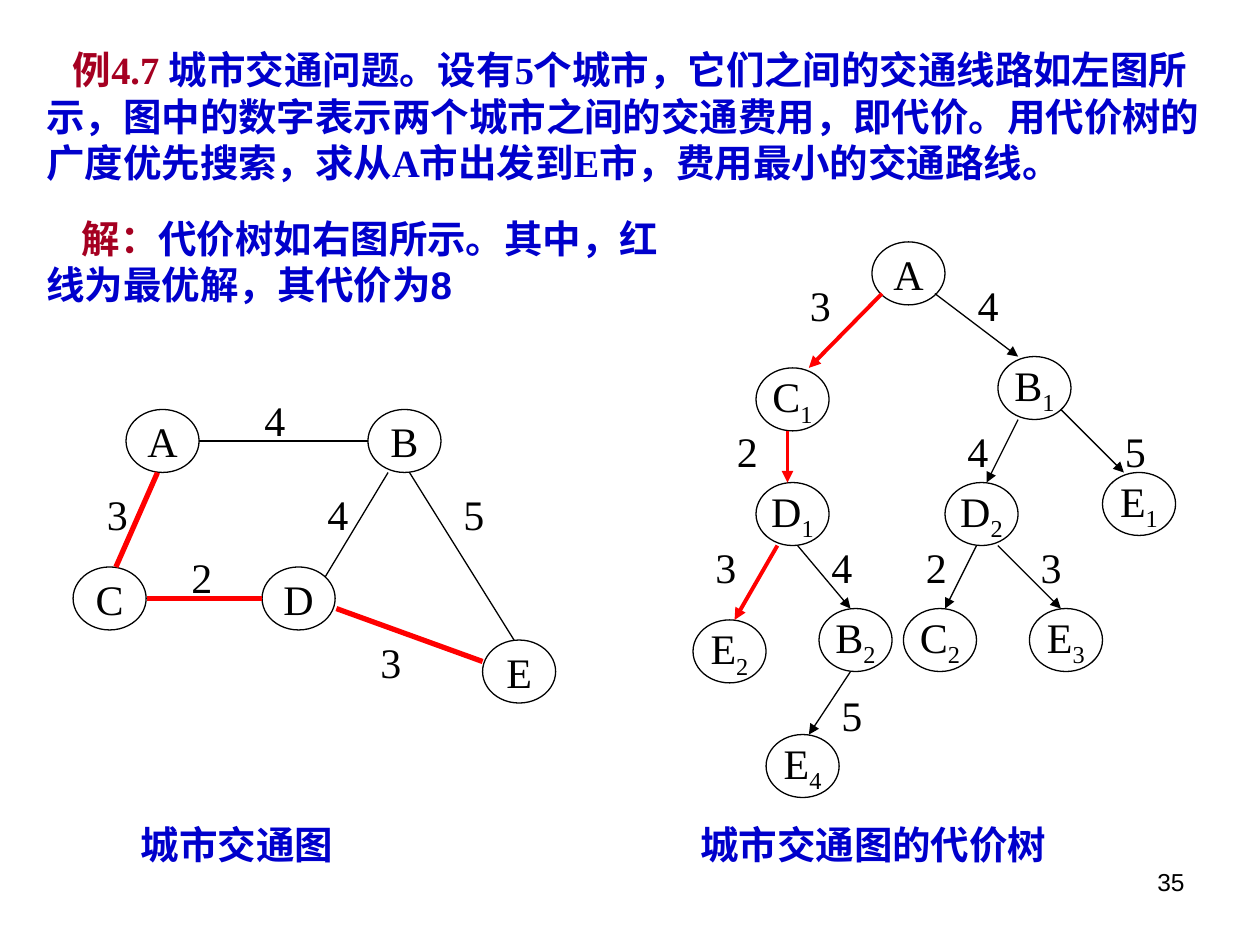
from lxml import etree
from pptx import Presentation
from pptx.dml.color import RGBColor
from pptx.enum.shapes import MSO_CONNECTOR, MSO_SHAPE
from pptx.enum.text import MSO_ANCHOR, PP_ALIGN
from pptx.oxml.ns import qn
from pptx.util import Inches, Pt

OVAL = MSO_SHAPE.OVAL
STRAIGHT = MSO_CONNECTOR.STRAIGHT
MIDDLE = MSO_ANCHOR.MIDDLE
LEFT, CENTER, RIGHT = PP_ALIGN.LEFT, PP_ALIGN.CENTER, PP_ALIGN.RIGHT
BLACK = RGBColor(0x00, 0x00, 0x00)
RED = RGBColor(0xFF, 0x00, 0x00)
CRIMSON = RGBColor(0xA5, 0x00, 0x21)
BLUE = RGBColor(0x00, 0x00, 0xCC)
SERIF, SANS, CHINESE = "Times New Roman", "Arial", "Noto Sans CJK SC"
NODE_WIDTH, NODE_HEIGHT = 0.58, 0.5

PROBLEM = [
    ("例", CHINESE, CRIMSON),
    ("4.7 ", SERIF, CRIMSON),
    ("城市交通问题。设有", CHINESE, BLUE),
    ("5", SERIF, BLUE),
    ("个城市，它们之间的交通线路如左图所示，图中的数字表示两个城市之间的交通费用，"
     "即代价。用代价树的广度优先搜索，求从", CHINESE, BLUE),
    ("A", SERIF, BLUE),
    ("市出发到", CHINESE, BLUE),
    ("E", SERIF, BLUE),
    ("市，费用最小的交通路线。", CHINESE, BLUE),
]
SOLUTION = [
    ("解：", SANS, CRIMSON),
    ("代价树如右图所示。其中，红线为最优解，其代价为8", SANS, BLUE),
]
CAPTIONS = [("城市交通图", 1.02, 2.5), ("城市交通图的代价树", 5.46, 3.28)]

MAP = {
    "nodes": [("A", 1, 3.25), ("B", 2.92, 3.25), ("C", 0.58, 4.5),
              ("D", 2.08, 4.5), ("E", 3.83, 5.08)],
    "best": [(1.25, 3.75, 0.92, 4.5), (1.17, 4.75, 2.08, 4.75),
             (2.67, 4.83, 3.83, 5.25)],
    "other": [(1.58, 3.5, 2.92, 3.5), (2.58, 4.58, 3.08, 3.75),
              (3.25, 3.75, 4.08, 5.08)],
    "costs": [("4", 2, 3.08), ("3", 0.75, 3.83), ("4", 2.5, 3.83),
              ("5", 3.58, 3.83), ("2", 1.42, 4.33), ("3", 2.92, 5)],
    "best_width": 3,
    "arrows": False,
}
TREE = {
    "nodes": [("A", 6.92, 1.92), ("C1", 6, 2.92), ("B1", 7.92, 2.83),
              ("D1", 6, 3.83), ("D2", 7.5, 3.83), ("E1", 8.75, 3.75),
              ("E2", 5.5, 4.92), ("B2", 6.5, 4.83), ("C2", 7.17, 4.83),
              ("E3", 8.17, 4.83), ("E4", 6.08, 5.83)],
    "best": [(7, 2.33, 6.42, 2.92), (6.25, 3.42, 6.25, 3.83),
             (6.17, 4.33, 5.83, 4.92)],
    "other": [(7.42, 2.33, 8.08, 2.83), (8.08, 3.33, 7.83, 3.83),
              (8.42, 3.25, 8.92, 3.75), (6.33, 4.33, 6.75, 4.83),
              (7.75, 4.33, 7.5, 4.83), (7.92, 4.33, 8.42, 4.83),
              (6.75, 5.33, 6.42, 5.83)],
    "costs": [("3", 6.33, 2.17), ("4", 7.66, 2.17), ("2", 5.75, 3.33),
              ("4", 7.58, 3.33), ("5", 8.83, 3.33), ("3", 5.58, 4.25),
              ("4", 6.5, 4.25), ("2", 7.25, 4.25), ("3", 8.16, 4.25),
              ("5", 6.58, 5.42)],
    "best_width": 2.25,
    "arrows": True,
}


def add_span(para, text, size, face, color, bold=False):
    span = para.add_run()
    span.text = text
    font = span.font
    font.size, font.name, font.bold = Pt(size), face, bold
    font.color.rgb = color
    east_asian = etree.SubElement(span._r.get_or_add_rPr(), qn("a:ea"))
    east_asian.set("typeface", CHINESE)
    return span


def add_text(page, spans, left, top, width, height, size, bold=False, indent=0, align=LEFT):
    box = page.shapes.add_textbox(Inches(left), Inches(top), Inches(width), Inches(height))
    box.text_frame.word_wrap = True
    para = box.text_frame.paragraphs[0]
    para.alignment = align
    if indent:
        para._p.get_or_add_pPr().set("indent", str(Inches(indent)))
    for text, face, color in spans:
        add_span(para, text, size, face, color, bold)


def add_node(page, name, left, top):
    node = page.shapes.add_shape(OVAL, Inches(left), Inches(top),
                                 Inches(NODE_WIDTH), Inches(NODE_HEIGHT))
    node.shadow.inherit = False
    node.fill.background()
    node.line.color.rgb = BLACK
    node.line.width = Pt(0.75)
    frame = node.text_frame
    frame.word_wrap = False
    frame.vertical_anchor = MIDDLE
    para = frame.paragraphs[0]
    para.alignment = CENTER
    add_span(para, name[0], 24, SERIF, BLACK)
    if name[1:]:
        index = add_span(para, name[1:], 24, SERIF, BLACK)
        index._r.get_or_add_rPr().set("baseline", "-25000")


def add_edge(page, ends, color, width, arrow):
    edge = page.shapes.add_connector(STRAIGHT, *[Inches(value) for value in ends])
    edge.line.color.rgb = color
    edge.line.width = Pt(width)
    if arrow:
        etree.SubElement(edge.line._get_or_add_ln(), qn("a:tailEnd")).set("type", "triangle")
    etree.SubElement(edge._element.spPr, qn("a:effectLst"))


def add_graph(page, graph):
    for node in graph["nodes"]:
        add_node(page, *node)
    for ends in graph["best"]:
        add_edge(page, ends, RED, graph["best_width"], graph["arrows"])
    for ends in graph["other"]:
        add_edge(page, ends, BLACK, 0.75, graph["arrows"])
    for cost, left, top in graph["costs"]:
        add_text(page, [(cost, SERIF, BLACK)], left, top, 0.42, 0.5, 24)


def main():
    deck = Presentation()
    deck.slide_width, deck.slide_height = Inches(10), Inches(7.5)
    page = deck.slides.add_slide(deck.slide_layouts[6])
    add_text(page, PROBLEM, 0.27, 0.32, 9.37, 1.24, 22, True, 0.21)
    add_text(page, SOLUTION, 0.27, 1.66, 5.08, 0.84, 22, True, 0.28)
    for graph in (MAP, TREE):
        add_graph(page, graph)
    for caption, left, width in CAPTIONS:
        add_text(page, [(caption, SERIF, BLUE)], left, 6.47, width, 0.47, 22, True)
    add_text(page, [("35", SANS, BLACK)], 7.17, 6.83, 2.33, 0.52, 14, align=RIGHT)
    deck.save("out.pptx")


if __name__ == "__main__":
    main()
